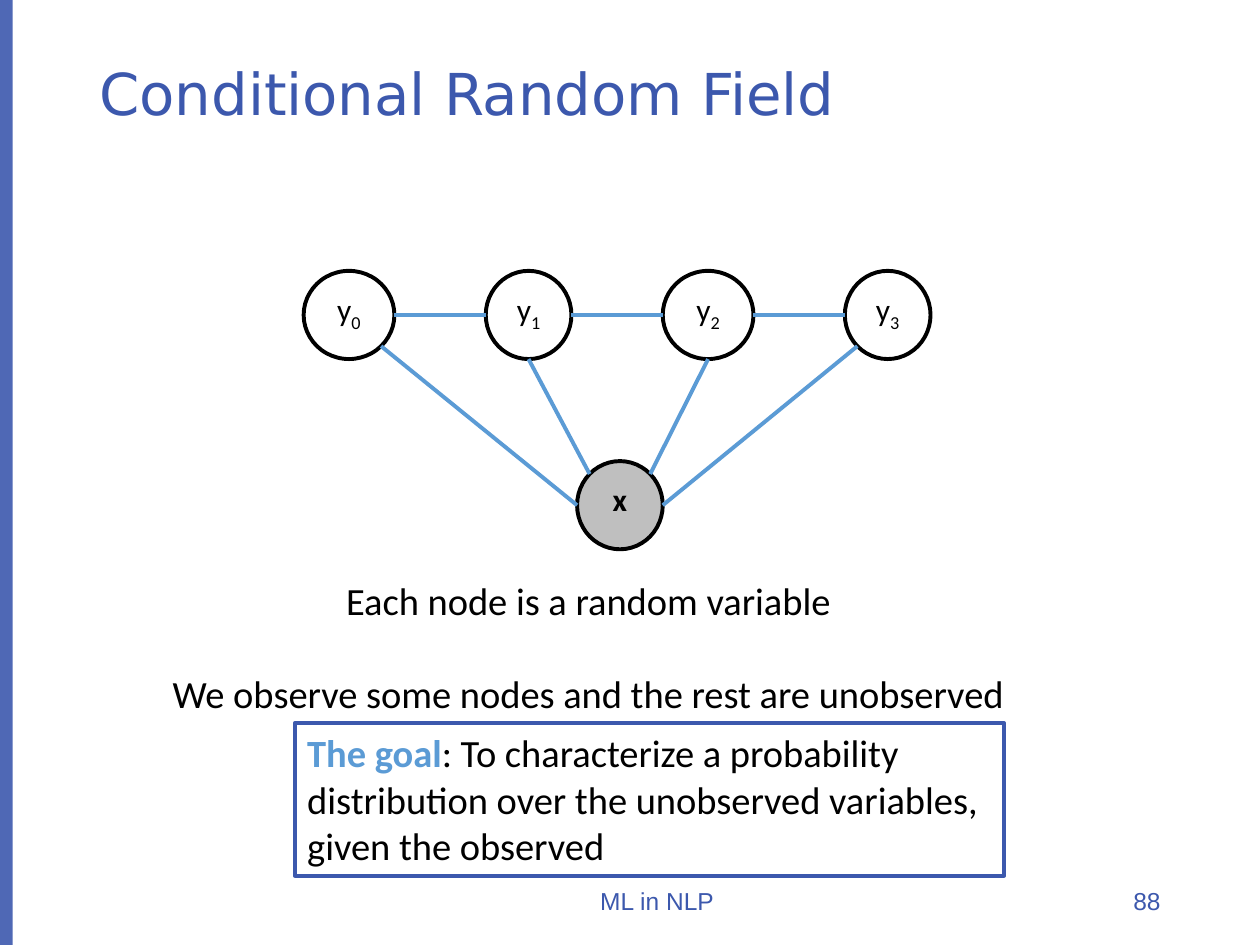
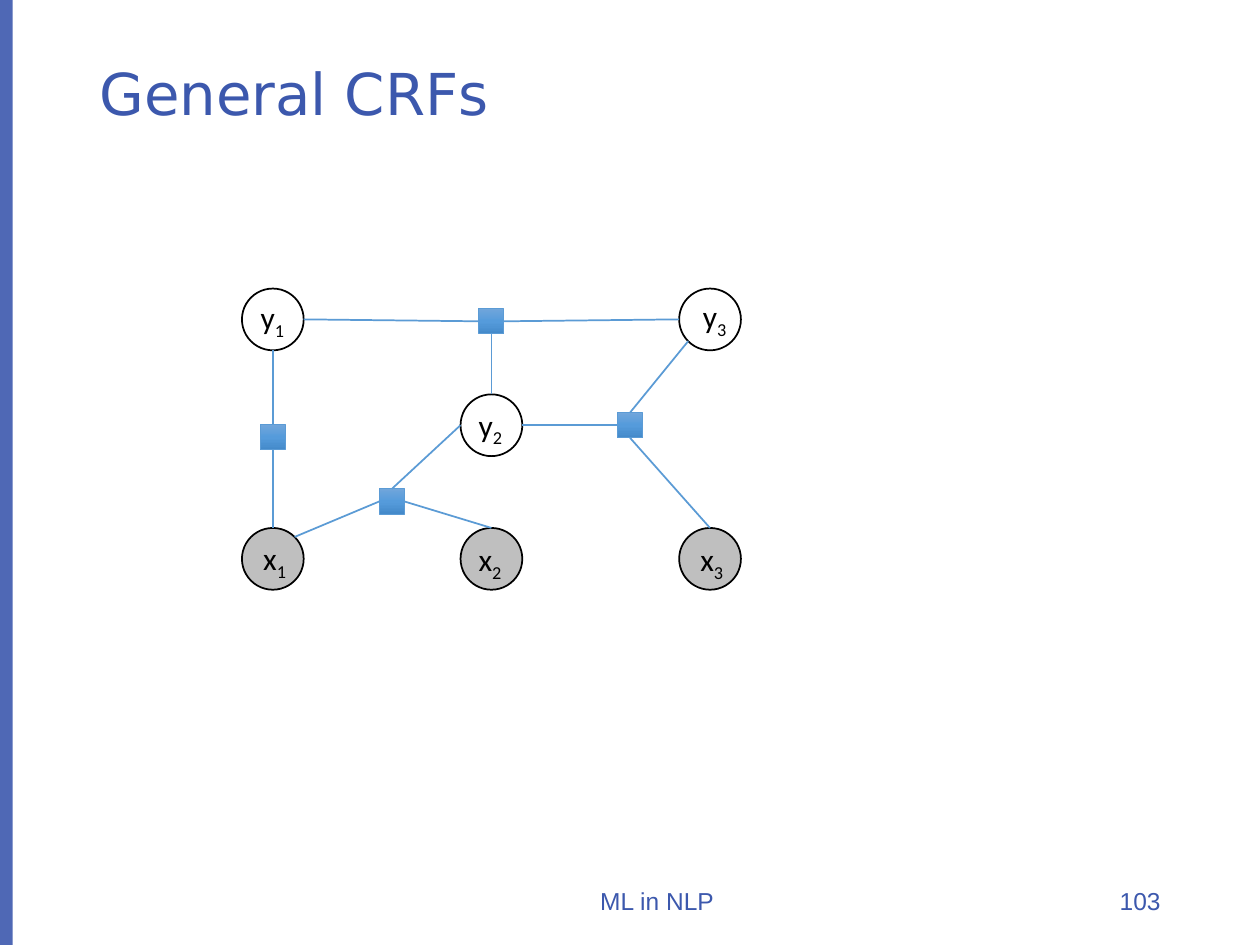
import copy
import math
import lxml.etree
import pptx
import pptx.dml.color
import pptx.enum.shapes
import pptx.enum.text
import pptx.oxml.ns
import pptx.util

BLUE, SKY, BLACK, WHITE, GREY = "3C58AD", "5B9BD5", "000000", "FFFFFF", "BFBFBF"
SHADES = [(0, "71A6DB"), (0.5, "559BDB"), (1, "448ACA")]
SHAPE = pptx.enum.shapes.MSO_SHAPE
ALIGN = pptx.enum.text.PP_ALIGN
ANCHOR = pptx.enum.text.MSO_ANCHOR
qn = pptx.oxml.ns.qn

prs = pptx.Presentation()
prs.slide_width = pptx.util.Inches(10)
prs.slide_height = pptx.util.Inches(7.5)
CELL = prs.slide_width / 100


def paint(fill, color):
    fill.solid()
    fill.fore_color.rgb = pptx.dml.color.RGBColor.from_string(color)


def add(s, kind, at, paras=(), size=18, font="Calibri", color=BLACK,
        align=ALIGN.LEFT, anchor=ANCHOR.TOP, wrap=True):
    box = [round(v * CELL) for v in at]
    if kind is None:
        sp = s.shapes.add_textbox(*box)
    else:
        sp = s.shapes.add_shape(kind, *box)
        sp.shadow.inherit = False
    tf = sp.text_frame
    tf.word_wrap = wrap
    tf.vertical_anchor = anchor
    for i, text in enumerate(paras):
        p = tf.paragraphs[0] if i == 0 else tf.add_paragraph()
        p.alignment = align
        p.font.size = pptx.util.Pt(size)
        p.font.name = font
        paint(p.font.fill, color)
        base, _, sub = text.partition("_")
        p.add_run().text = base
        if sub:
            r = p.add_run()
            r.text = sub
            r.font._element.set("baseline", "-25000")
    return sp


D = math.sqrt(0.5)
SITES = {"N": (0, -1), "W": (-1, 0), "S": (0, 1), "E": (1, 0),
         "NE": (D, -D), "NW": (-D, -D), "SE": (D, D), "SW": (-D, D)}
GLUE = {"N": 0, "W": 1, "S": 2, "E": 3}

chain = {f"y_{i}": (27.7 + 14.25 * i, 25, 7.2 - 0.4 * (i % 2), 7, WHITE) for i in range(4)}
chain["x"] = (49.2, 40.1, 6.8, 7, GREY)
chain_edges = [(f"y_{i} E", f"y_{i + 1} W") for i in range(3)]
chain_edges += [("x E", "y_3 SW"), ("x NE", "y_2 S"), ("x NW", "y_1 S"), ("x W", "y_0 SE")]

columns = [21.65, 39, 56.35]
graph = {f"x_{i + 1}": (c, 44.35, 4.9, 4.9, GREY) for i, c in enumerate(columns)}
graph |= {f"y_{i + 1}": (c, r, 4.9, 4.9, WHITE)
          for i, (c, r) in enumerate(zip(columns, [25.35, 33.75, 25.35]))}
labels = {"x_1": (19.9, 42.3), "x_2": (37, 42.4), "x_3": (54.6, 42.4),
          "y_1": (19.7, 23.2), "y_2": (37, 31.7), "y_3": (54.8, 23.1)}
factors = {"top": (39, 25.5), "left": (21.65, 34.7),
           "right": (50, 33.75), "low": (31.1, 39.8)}
graph_edges = [("y_1 S", "left N"), ("left S", "x_1 N"), ("y_1 E", "top W"),
               ("top E", "y_3 W"), ("top S", "y_2 N"), ("y_2 E", "right W"),
               ("right N", "y_3 SW"), ("right S", "x_3 N"), ("low N", "y_2 W"),
               ("low W", "x_1 NE"), ("low E", "x_2 N")]

pages = [("Conditional Random Field", "88", chain, {}, {}, chain_edges, 2.25),
         ("General CRFs", "103", graph, labels, factors, graph_edges, 1)]

for title, number, nodes, labels, factors, edges, width in pages:
    s = prs.slides.add_slide(prs.slide_layouts[6])
    band = add(s, SHAPE.RECTANGLE, (0, 0, 1, 75))
    paint(band.fill, BLUE)
    band.line.fill.background()
    tint = band._element.spPr.find(".//" + qn("a:srgbClr"))
    lxml.etree.SubElement(tint, qn("a:alpha")).set("val", "90000")
    sp = add(s, None, (6.9, 4, 86.2, 7.4), [title], 33, "DejaVu Sans", BLUE,
             anchor=ANCHOR.MIDDLE)
    sp.text_frame.paragraphs[0].line_spacing = 0.9
    add(s, None, (78.5, 69.5, 14.6, 4), [number], 14, "Arial", BLUE,
        ALIGN.RIGHT, ANCHOR.MIDDLE)
    add(s, None, (33.1, 69.5, 38.1, 4), ["ML in NLP"], 14, "Arial", BLUE,
        ALIGN.CENTER, ANCHOR.MIDDLE)

    places, squares = {}, {}
    for name, (x, y, w, h, color) in nodes.items():
        sp = add(s, SHAPE.OVAL, (x - w / 2, y - h / 2, w, h),
                 [] if labels else [name], align=ALIGN.CENTER)
        paint(sp.fill, color)
        paint(sp.line.fill, BLACK)
        sp.line.width = pptx.util.Pt(width)
        sp.text_frame.paragraphs[0].font.bold = name == "x"
        places[name] = (x, y, w, h)
    for name, (x, y) in factors.items():
        sp = add(s, SHAPE.RECTANGLE, (x - 1, y - 1, 2, 2))
        sp.fill.gradient()
        sp.fill.gradient_angle = 270
        stops = sp._element.spPr.find(".//" + qn("a:gsLst"))
        stops.insert(1, copy.deepcopy(stops[0]))
        for stop, (position, shade) in zip(sp.fill.gradient_stops, SHADES):
            stop.position = position
            stop.color.rgb = pptx.dml.color.RGBColor.from_string(shade)
        paint(sp.line.fill, SKY)
        sp.line.width = pptx.util.Pt(0.5)
        places[name] = (x, y, 2, 2)
        squares[name] = sp

    for edge in edges:
        ends = [end.split() for end in edge]
        points = []
        for name, site in ends:
            x, y, w, h = places[name]
            dx, dy = SITES[site]
            points += [round((x + dx * w / 2) * CELL), round((y + dy * h / 2) * CELL)]
        cn = s.shapes.add_connector(pptx.enum.shapes.MSO_CONNECTOR.STRAIGHT, *points)
        for (name, site), join in zip(ends, (cn.begin_connect, cn.end_connect)):
            if name in squares:
                join(squares[name], GLUE[site])
        paint(cn.line.fill, SKY)
        cn.line.width = pptx.util.Pt(width)
        lxml.etree.SubElement(cn._element.spPr, qn("a:effectLst"))

    for name, (x, y) in labels.items():
        add(s, None, (x, y, 4, 4), [name], wrap=False)

s = prs.slides[0]
sp = add(s, None, (12.3, 45.3, 68.8, 15.8),
         ["Each node is a random variable",
          "We observe some nodes and the rest are unobserved"],
         22, align=ALIGN.CENTER, wrap=False)
sp.text_frame.paragraphs[1].space_before = pptx.util.Pt(26.5)

goal = add(s, SHAPE.RECTANGLE, (23.4, 57.4, 56.3, 12.1), ["The goal"], 22)
goal.fill.background()
paint(goal.line.fill, BLUE)
goal.line.width = pptx.util.Pt(2.25)
p = goal.text_frame.paragraphs[0]
p.runs[0].font.bold = True
paint(p.runs[0].font.fill, SKY)
r = p.add_run()
r.text = (": To characterize a probability distribution over the "
          "unobserved variables, given the observed")

prs.save("out.pptx")
